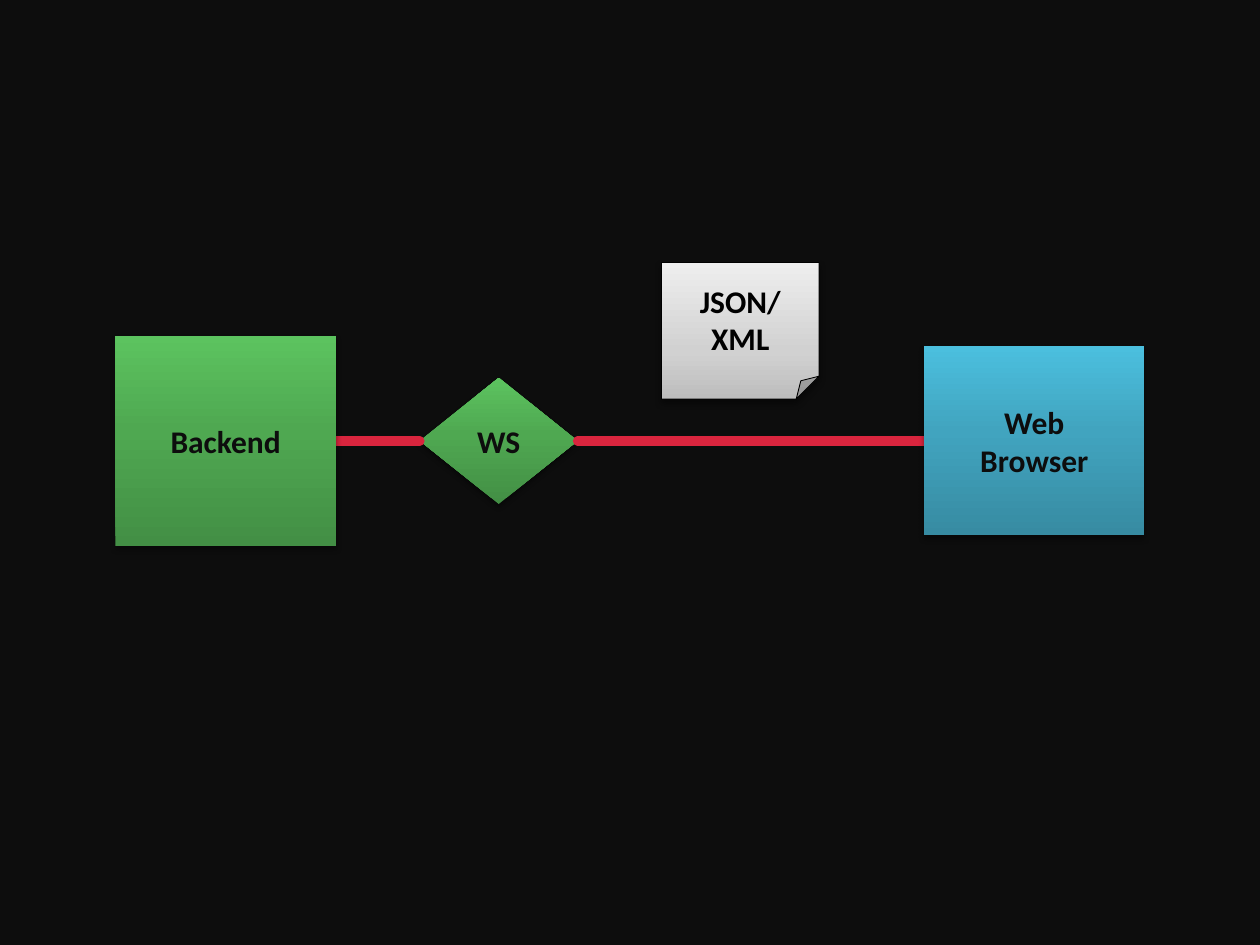
from copy import deepcopy

from lxml.etree import SubElement
from pptx import Presentation
from pptx.dml.color import RGBColor
from pptx.enum.shapes import MSO_CONNECTOR, MSO_SHAPE
from pptx.enum.text import MSO_ANCHOR, PP_ALIGN
from pptx.oxml.ns import qn
from pptx.util import Pt

NEAR_BLACK = RGBColor(0x0D, 0x0D, 0x0D)
BLACK = RGBColor(0, 0, 0)
RED = RGBColor(0xD9, 0x25, 0x3E)
GREENS = ((0, RGBColor(0x43, 0x8F, 0x45)),
          (0.55, RGBColor(0x4F, 0xA8, 0x51)),
          (1, RGBColor(0x5C, 0xC3, 0x5F)))
BLUES = ((0, RGBColor(0x37, 0x8B, 0xA2)),
         (0.55, RGBColor(0x41, 0xA4, 0xBF)),
         (1, RGBColor(0x4B, 0xBF, 0xDE)))
GREYS = ((0, RGBColor(0xBD, 0xBD, 0xBD)),
         (0.35, RGBColor(0xD1, 0xD1, 0xD1)),
         (1, RGBColor(0xEE, 0xEE, 0xEE)))

LEFT, RIGHT = 1, 3


def fill_gradient(shape, shades):
    """Blend the three shades from the bottom edge to the top."""
    fill = shape.fill
    fill.gradient()
    fill.gradient_angle = 90
    stop_list = shape._element.spPr.find(qn("a:gradFill")).find(qn("a:gsLst"))
    stop_list.append(deepcopy(stop_list[-1]))
    for stop, (position, color) in zip(fill.gradient_stops, shades):
        stop.position = position
        stop.color.rgb = color


def add_drop_shadow(shape, blur):
    shape.shadow.inherit = False
    effects = shape._element.spPr.find(qn("a:effectLst"))
    shadow = SubElement(effects, qn("a:outerShdw"), blurRad=str(Pt(blur)),
                        dist=str(Pt(2)), dir="5400000", rotWithShape="0")
    color = SubElement(shadow, qn("a:srgbClr"), val=str(BLACK))
    SubElement(color, qn("a:alpha"), val="38000")


def add_node(slide, kind, box, text, shades, text_color=NEAR_BLACK, blur=3.1):
    node = slide.shapes.add_shape(kind, *(Pt(length) for length in box))
    fill_gradient(node, shades)
    node.line.fill.background()
    add_drop_shadow(node, blur)
    frame = node.text_frame
    frame.text = text
    frame.word_wrap = True
    frame.vertical_anchor = MSO_ANCHOR.MIDDLE
    font_format = {"name": "Calibri", "size": Pt(18), "bold": True}
    for paragraph in frame.paragraphs:
        paragraph.alignment = PP_ALIGN.CENTER
        for attribute, value in font_format.items():
            setattr(paragraph.font, attribute, value)
        for run in paragraph.runs:
            for attribute, value in font_format.items():
                setattr(run.font, attribute, value)
            run.font.color.rgb = text_color
    return node


def add_link(slide):
    """Add a loose link; join() gives it its ends."""
    link = slide.shapes.add_connector(MSO_CONNECTOR.STRAIGHT, 0, 0, 0, 0)
    link.line.color.rgb = RED
    link.line.width = Pt(5.25)
    properties = link._element.spPr
    properties.find(qn("a:ln")).set("cap", "rnd")
    SubElement(properties, qn("a:effectLst"))
    return link


def join(link, start, end):
    link.begin_connect(start, RIGHT)
    link.end_connect(end, LEFT)


def main():
    presentation = Presentation()
    presentation.slide_width, presentation.slide_height = Pt(720), Pt(540)
    slide = presentation.slides.add_slide(presentation.slide_layouts[6])
    slide.background.fill.solid()
    slide.background.fill.fore_color.rgb = NEAR_BLACK

    service = add_node(slide, MSO_SHAPE.DIAMOND, (240, 216, 90, 72), "WS", GREENS)
    # The links lie above the service and below the two ends.
    backend_link, browser_link = add_link(slide), add_link(slide)
    browser = add_node(slide, MSO_SHAPE.RECTANGLE, (528, 198, 126, 108),
                       "Web\vBrowser", BLUES)
    message = add_node(slide, MSO_SHAPE.FOLDED_CORNER, (378, 150, 90, 78),
                       "JSON/\nXML", GREYS, text_color=BLACK, blur=3.5)
    message.line.color.rgb = BLACK
    message.line.width = Pt(0.5)
    backend = add_node(slide, MSO_SHAPE.RECTANGLE, (66, 192, 126, 120),
                       "Backend", GREENS)

    join(backend_link, backend, service)
    join(browser_link, service, browser)
    presentation.save("out.pptx")


if __name__ == "__main__":
    main()
